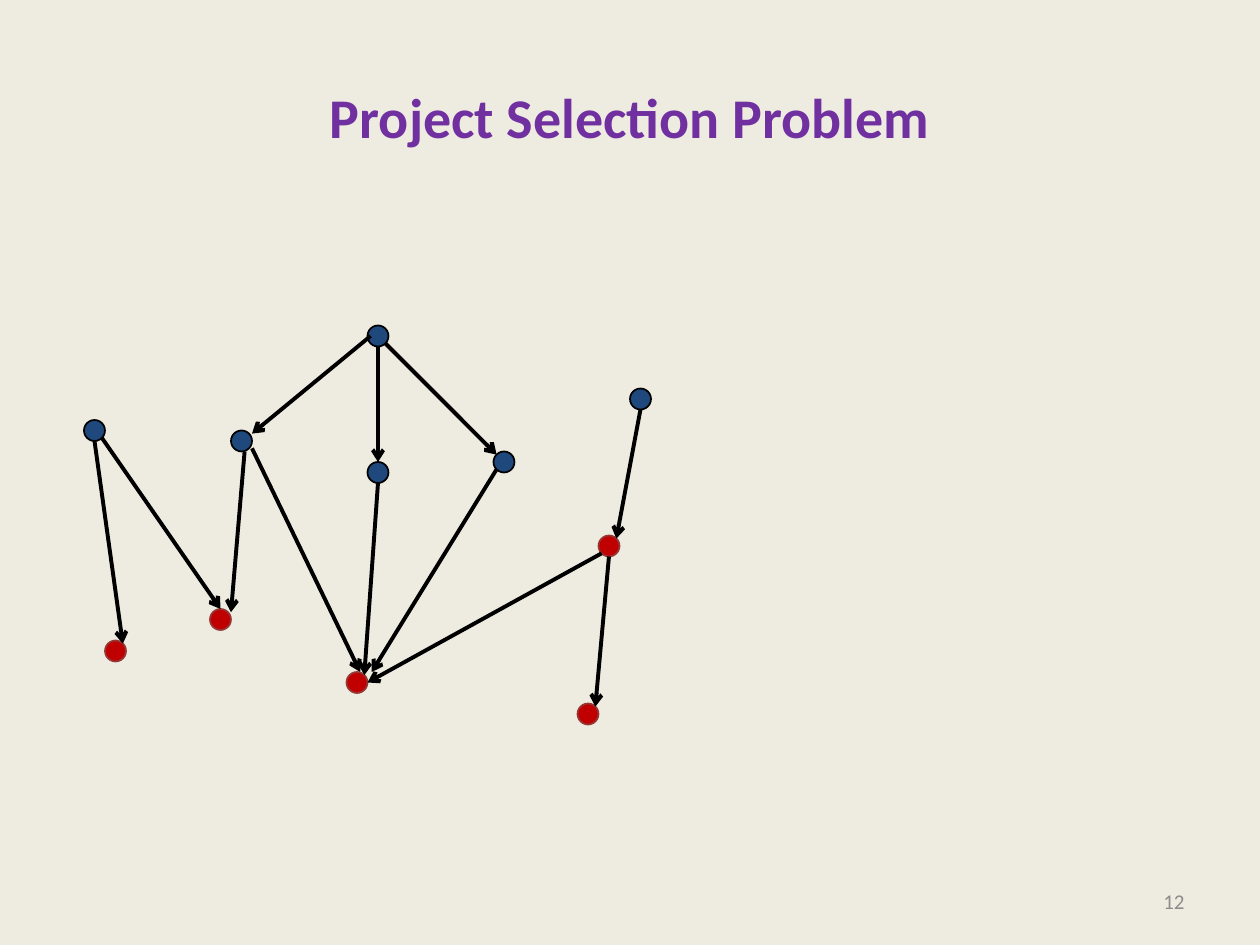
from lxml.etree import SubElement
from pptx import Presentation
from pptx.dml.color import RGBColor
from pptx.enum.shapes import MSO_CONNECTOR as Connector, MSO_SHAPE as Shape
from pptx.enum.text import MSO_ANCHOR as Anchor, PP_ALIGN as Align
from pptx.oxml.ns import qn
from pptx.util import Inches, Pt

COLORS = {
    "background": "EEECE1", "title": "7030A0", "number": "8C8C8C",
    "edge": "000000", "blue": "1F497D", "blue_line": "000000",
    "red": "C00000", "red_line": "953735",
}
FONT = "Calibri"
UNIT = Inches(1) / 12  # grid step, equal to a node's radius
DIAGONAL = 0.7

# Node centres in grid columns and rows
BLUE_NODES = {
    "root": (36, 32), "left": (23, 42), "middle": (36, 45),
    "right": (48, 44), "far_left": (9, 41), "far_right": (61, 38),
}
RED_NODES = {
    "red_left": (21, 59), "red_middle": (34, 65), "red_far_left": (11, 62),
    "red_hub": (58, 52), "red_right": (56, 68),
}
NODES = {**BLUE_NODES, **RED_NODES}

# Offsets from a node's centre, in radii
TOP, BOTTOM, RIGHT = (0, -1), (0, 1), (1, 0)
UPPER_LEFT, UPPER_RIGHT = (-DIAGONAL, -DIAGONAL), (DIAGONAL, -DIAGONAL)
LOWER_LEFT, LOWER_RIGHT = (-DIAGONAL, DIAGONAL), (DIAGONAL, DIAGONAL)
EDGES = [
    ("middle", BOTTOM, "red_middle", UPPER_RIGHT),
    ("left", (0.3, 1), "red_left", (1, -DIAGONAL)),
    ("left", (1, DIAGONAL), "red_middle", (0.3, -1)),
    ("root", LOWER_RIGHT, "right", UPPER_LEFT),
    ("root", (-DIAGONAL, 0), "left", (1, -DIAGONAL)),
    ("root", BOTTOM, "middle", TOP),
    ("far_right", BOTTOM, "red_hub", UPPER_RIGHT),
    ("red_hub", LOWER_LEFT, "red_middle", RIGHT),
    ("red_hub", BOTTOM, "red_right", UPPER_RIGHT),
    ("right", LOWER_LEFT, "red_middle", (1.4, -1)),
    ("far_left", BOTTOM, "red_far_left", UPPER_RIGHT),
    ("far_left", LOWER_RIGHT, "red_left", TOP),
]


def rgb(name):
    return RGBColor.from_string(COLORS[name])


def write(shape, text, size, color, align, bold=False):
    frame = shape.text_frame
    frame.word_wrap = True
    frame.vertical_anchor = Anchor.MIDDLE
    para = frame.paragraphs[0]
    para.text = text
    para.alignment = align
    para.font.name = FONT
    para.font.size = Pt(size)
    para.font.bold = bold
    para.font.color.rgb = rgb(color)


def add_title(page, box):
    title = page.shapes.title
    title.left, title.top, title.width, title.height = box
    write(title, "Project Selection Problem", 32, "title", Align.CENTER, bold=True)


def add_page_number(page, box):
    write(page.shapes.add_textbox(*box), "12", 12, "number", Align.RIGHT)


def add_node(page, origin, center, color):
    left, top = (int(start + (place - 1) * UNIT) for start, place in zip(origin, center))
    node = page.shapes.add_shape(Shape.OVAL, left, top, int(2 * UNIT), int(2 * UNIT))
    node.shadow.inherit = False
    node.fill.solid()
    node.fill.fore_color.rgb = rgb(color)
    node.line.color.rgb = rgb(color + "_line")
    node.line.width = Pt(1)


def edge_end(origin, name, offset):
    return [int(start + (place + shift) * UNIT)
            for start, place, shift in zip(origin, NODES[name], offset)]


def add_edge(page, begin, end):
    edge = page.shapes.add_connector(Connector.STRAIGHT, *begin, *end)
    edge.line.color.rgb = rgb("edge")
    edge.line.width = Pt(2.25)
    SubElement(edge.line._get_or_add_ln(), qn("a:tailEnd"), type="arrow")
    SubElement(edge._element.spPr, qn("a:effectLst"))


def add_graph(page, origin):
    for color, nodes in (("blue", BLUE_NODES), ("red", RED_NODES)):
        for center in nodes.values():
            add_node(page, origin, center, color)
    for source, leave, target, arrive in EDGES:
        add_edge(page, edge_end(origin, source, leave), edge_end(origin, target, arrive))


def main():
    deck = Presentation()
    deck.slide_width, deck.slide_height = Inches(10), Inches(7.5)
    page = deck.slides.add_slide(deck.slide_layouts.get_by_name("Title Only"))
    page.background.fill.solid()
    page.background.fill.fore_color.rgb = rgb("background")
    width, height = deck.slide_width, deck.slide_height
    add_title(page, (int(width * 0.05), int(height * 0.04),
                     int(width * 0.9), Inches(1.25)))
    add_page_number(page, (Inches(7.17), Inches(6.95), Inches(2.33), Inches(0.4)))
    add_graph(page, (0, 0))
    deck.save("out.pptx")


if __name__ == "__main__":
    main()
